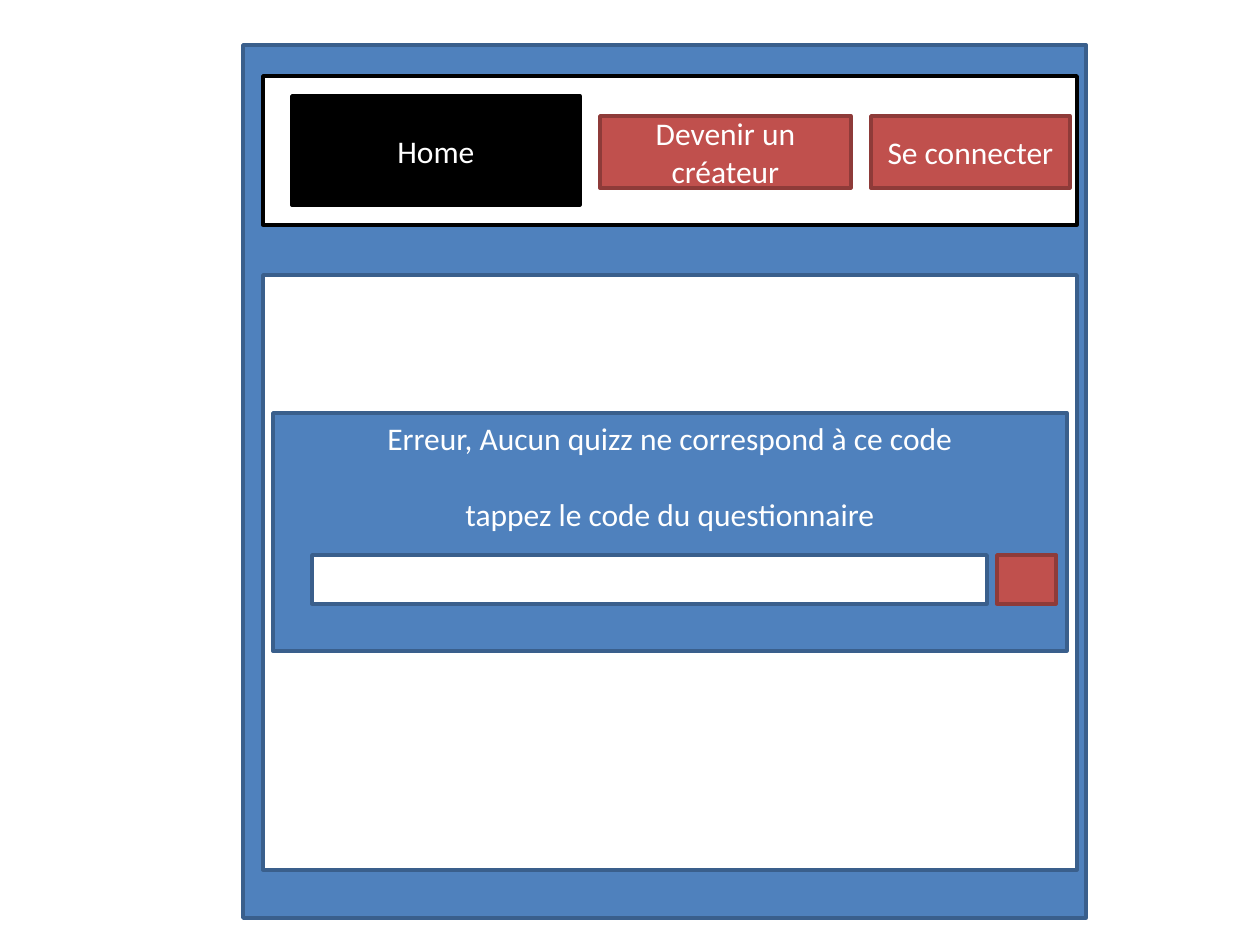
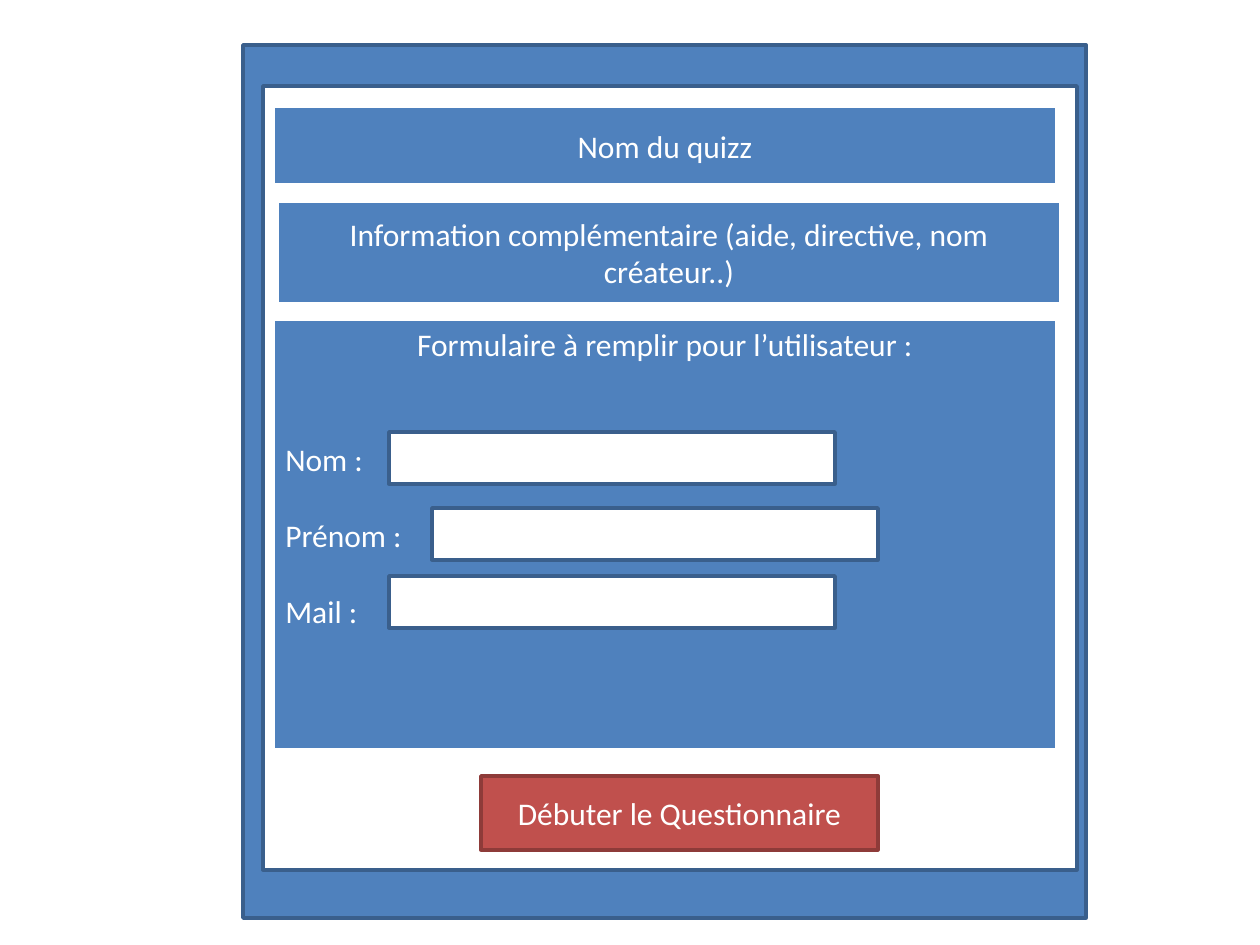
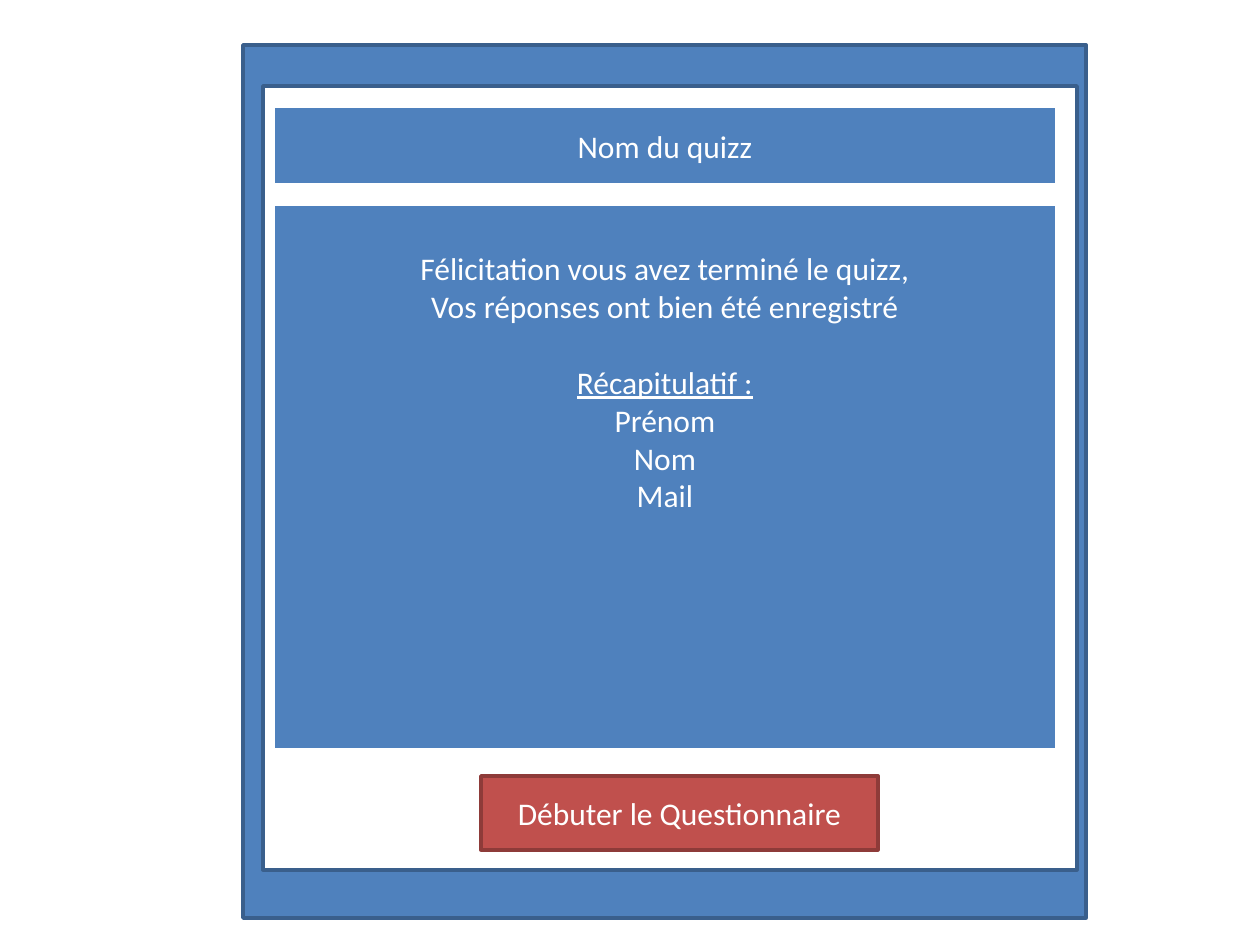
from pptx import Presentation
from pptx.dml.color import RGBColor
from pptx.enum.shapes import MSO_SHAPE as Preset
from pptx.enum.text import MSO_ANCHOR as Anchor, PP_ALIGN as Align
from pptx.util import Emu, Pt

SCALE = 914400 / 126
FONT, SIZE, LINE_HEIGHT = "Calibri", 18, 22
WHITE, BLACK, BLUE, NAVY, RED, MAROON = "FFFFFF", "000000", "4F81BD", "3A5F8C", "C0504D", "8E3B39"

STYLES = {
    "frame": (BLUE, NAVY),
    "page": (WHITE, NAVY),
    "header": (WHITE, BLACK),
    "logo": (BLACK, BLACK),
    "panel": (BLUE, WHITE),
    "button": (RED, MAROON),
}

FRAME = ("frame", (243, 45, 843, 873))
QUIZ_PAGE = ("page", (263, 86, 814, 784))
QUIZ_TITLE = ("panel", (273, 106, 784, 79), "Nom du quizz")
START_BUTTON = ("button", (481, 776, 397, 74), "Débuter le Questionnaire")

ERROR_LINES = [
    ("Erreur, Aucun quizz ne correspond à ce code", {}),
    ("tappez le code du questionnaire", {"gap": 1}),
]
FORM_LINES = [
    ("Formulaire à remplir pour l’utilisateur :", {}),
    ("Nom :", {"gap": 2, "align": Align.LEFT}),
    ("Prénom :", {"gap": 1, "align": Align.LEFT}),
    ("Mail :", {"gap": 1, "align": Align.LEFT}),
]
SUMMARY_LINES = [
    ("Félicitation vous avez terminé le quizz,", {}),
    ("Vos réponses ont bien été enregistré", {}),
    ("Récapitulatif :", {"gap": 1, "underline": True}),
    ("Prénom", {}),
    ("Nom", {}),
    ("Mail", {}),
]
FIELDS = [("page", (left, top, 446, 52)) for left, top in ((389, 432), (432, 508), (389, 576))]

SLIDES = [
    [
        FRAME,
        ("header", (263, 76, 814, 149)),
        ("logo", (292, 96, 288, 109), "Home"),
        ("page", (263, 275, 814, 595)),
        ("frame", (273, 413, 794, 238), ERROR_LINES),
        ("page", (312, 555, 675, 49)),
        ("button", (997, 555, 59, 49)),
        ("button", (871, 116, 199, 72), "Se connecter"),
        ("button", (600, 116, 251, 72), "Devenir un créateur"),
    ],
    [
        FRAME,
        QUIZ_PAGE,
        QUIZ_TITLE,
        ("panel", (277, 201, 784, 103), "Information complémentaire (aide, directive, nom créateur..)"),
        ("panel", (273, 319, 784, 431), FORM_LINES),
        START_BUTTON,
        *FIELDS,
    ],
    [
        FRAME,
        QUIZ_PAGE,
        QUIZ_TITLE,
        ("panel", (273, 204, 784, 546), SUMMARY_LINES, 45),
        START_BUTTON,
    ],
]


def pixels(value):
    """Turn pixels into EMU."""
    return Emu(round(value * SCALE))


def color(value):
    """Turn a hex string into a colour."""
    return RGBColor.from_string(value)


def write_line(paragraph, text, gap=0, align=Align.CENTER, underline=False):
    """Write one paragraph, with the gap above it counted in lines."""
    paragraph.alignment = align
    paragraph.space_before = Pt(gap * LINE_HEIGHT)
    run = paragraph.add_run()
    run.text = text
    run.font.name = FONT
    run.font.size = Pt(SIZE)
    run.font.underline = underline
    run.font.color.rgb = color(WHITE)


def add_box(slide, style, place, content="", inset=6):
    """Add a rectangle holding a centred label or a list of lines from its top."""
    shape = slide.shapes.add_shape(Preset.RECTANGLE, *map(pixels, place))
    fill, line = STYLES[style]
    shape.shadow.inherit = False
    shape.fill.solid()
    shape.fill.fore_color.rgb = color(fill)
    shape.line.color.rgb = color(line)
    shape.line.width = Pt(2)
    if not content:
        return
    is_label = isinstance(content, str)
    lines = [(content, {})] if is_label else content
    frame = shape.text_frame
    frame.word_wrap = True
    frame.vertical_anchor = Anchor.MIDDLE if is_label else Anchor.TOP
    frame.margin_top = pixels(inset)
    for index, (text, options) in enumerate(lines):
        paragraph = frame.add_paragraph() if index else frame.paragraphs[0]
        write_line(paragraph, text, **options)


presentation = Presentation()
presentation.slide_width, presentation.slide_height = pixels(1260), pixels(945)
for boxes in SLIDES:
    slide = presentation.slides.add_slide(presentation.slide_layouts[6])
    for box in boxes:
        add_box(slide, *box)
presentation.save("out.pptx")
